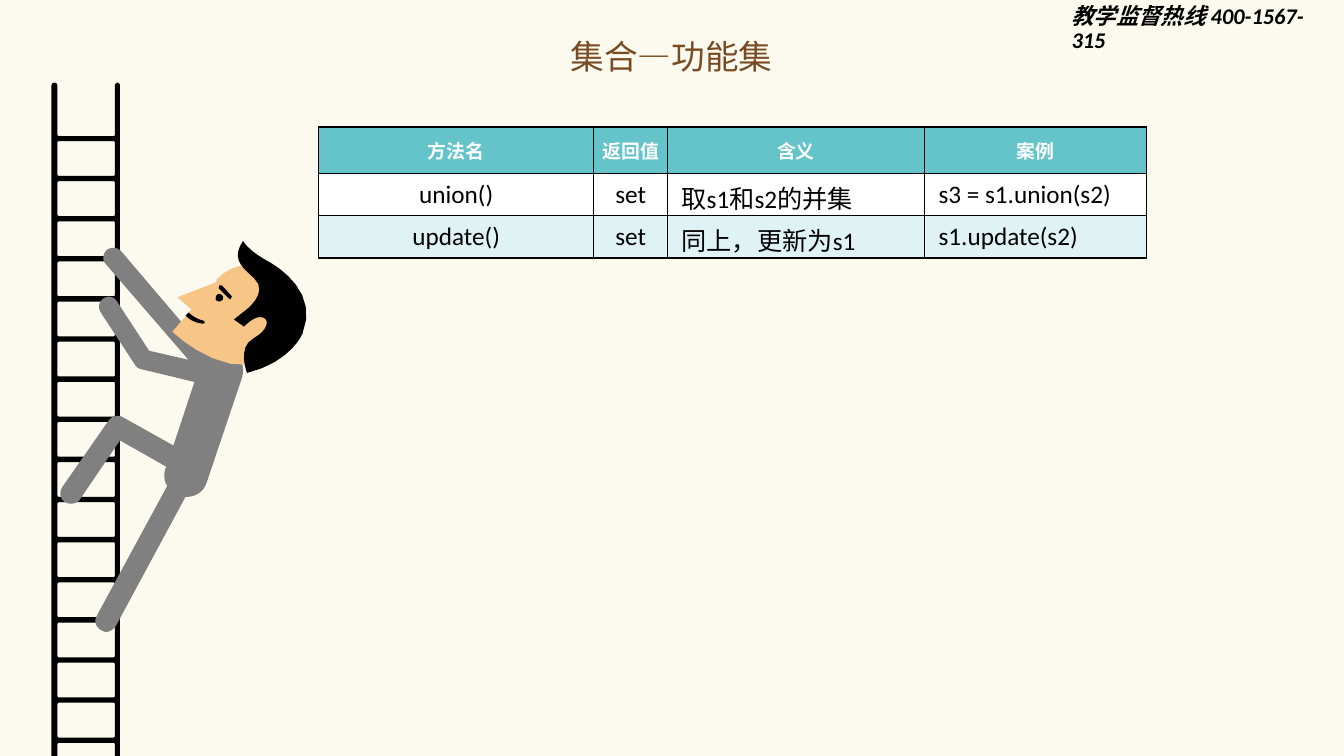
from dataclasses import dataclass

from lxml.etree import SubElement
from pptx import Presentation
from pptx.dml.color import RGBColor
from pptx.enum.text import MSO_ANCHOR, PP_ALIGN
from pptx.oxml.ns import qn
from pptx.util import Inches, Pt

CELL = Inches(0.01)
COLS, ROWS = 1333, 750
FINE = 10


@dataclass(frozen=True)
class Theme:
    """Colours, fonts and type sizes of the slide."""
    back: str = "FCF9EF"
    ink: str = "000000"
    black: str = "010101"
    suit: str = "808080"
    skin: str = "F7C586"
    brown: str = "784B23"
    teal: str = "65C4CA"
    pale: str = "E0F3F4"
    white: str = "FFFFFF"
    latin: str = "Calibri"
    han: str = "Noto Sans CJK SC"
    title: float = 24
    body: float = 18
    note: float = 16
    head: float = 13.5


THEME = Theme()

HEAD = ("方法名", "返回值", "含义", "案例")
BODY = (
    ("union()", "set", "取s1和s2的并集", "s3 = s1.union(s2)"),
    ("update()", "set", "同上，更新为s1", "s1.update(s2)"),
)
WIDTHS = (273, 73, 255, 220)
HEIGHTS = (46, 42, 42)

SUIT = [
    (226, 347), (219, 345, 212, 347, 206, 350), (120, 249),
    (116, 245, 110, 245, 106, 248), (102, 252, 101, 258, 105, 262),
    (187, 357), (148, 348), (116, 299),
    (113, 294, 107, 293, 103, 296), (98, 299, 97, 305, 100, 310),
    (134, 362), (135, 364, 137, 365, 139, 366), (193, 379), (172, 442),
    (122, 414), (117, 411, 111, 413, 108, 417), (62, 483),
    (59, 488, 59, 494, 64, 498), (69, 501, 76, 500, 79, 496),
    (119, 437), (165, 463), (164, 465), (162, 471, 163, 478, 166, 482),
    (96, 611), (93, 616, 95, 622, 100, 625), (102, 626, 104, 627, 105, 627),
    (109, 627, 113, 624, 115, 621), (184, 493), (185, 493),
    (194, 493, 202, 488, 205, 479), (240, 375),
    (244, 363, 238, 351, 226, 347),
]
FACE = [
    (212, 281), (213, 281), (214, 280, 215, 279, 215, 277),
    (232, 259, 261, 257, 279, 274), (302, 295, 303, 322, 286, 341),
    (238, 395, 171, 329, 171, 329), (190, 307), (176, 295),
]
HAIR = [
    (242, 309), (242, 309, 268, 291, 252, 276),
    (236, 262, 231, 255, 241, 239), (241, 239, 245, 247, 262, 257),
    (279, 266, 316, 291, 300, 331), (300, 331, 289, 359, 245, 370),
    (245, 370, 235, 345, 251, 336), (265, 328, 268, 318, 261, 315),
    (253, 312, 242, 324, 242, 324), (232, 317),
]
EYE = [
    (216, 292), (214, 293, 214, 295, 214, 297),
    (215, 299, 218, 300, 220, 298), (221, 298, 222, 295, 221, 294),
    (220, 292, 218, 291, 216, 292),
]
BROW = [
    (218, 283), (217, 284, 217, 285, 217, 286), (227, 296),
    (228, 297, 229, 297, 229, 296), (230, 295, 230, 294, 230, 294),
    (220, 283), (219, 283, 218, 283, 218, 283),
]
MOUTH = [
    (203, 320), (203, 319, 202, 318, 201, 318),
    (194, 316, 189, 312, 187, 310), (184, 313), (185, 314),
    (188, 317, 193, 320, 200, 321), (202, 321, 203, 321, 203, 320),
]


def tint(code):
    """Turn a hex code into a colour."""
    return RGBColor.from_string(code)


def trace(path, steps=8):
    """Flatten corners and cubic curves to fine grid points."""
    spots = [path[0]]
    for part in path[1:]:
        if len(part) == 2:
            spots.append(part)
            continue
        knots = [spots[-1], part[:2], part[2:4], part[4:]]
        for step in range(1, steps + 1):
            t = step / steps
            rate = ((1 - t) ** 3, 3 * t * (1 - t) ** 2, 3 * t * t * (1 - t), t ** 3)
            spots.append(tuple(sum(r * k[a] for r, k in zip(rate, knots)) for a in (0, 1)))
    return [(x * FINE, y * FINE) for x, y in spots]


def draw(slide, fill, *paths):
    """Draw closed paths as one filled outline; inner paths are holes."""
    loops = [trace(path) for path in paths]
    pen = slide.shapes.build_freeform(*loops[0][0], scale=CELL / FINE)
    for loop in loops:
        if loop is not loops[0]:
            pen.move_to(*loop[0])
        pen.add_line_segments(loop[1:], close=True)
    form = pen.convert_to_shape()
    form.shadow.inherit = False
    form.fill.solid()
    form.fill.fore_color.rgb = tint(fill)
    form.line.fill.background()


def hole(left, top, right, low, cut=3):
    """Give the rounded gap between two rungs, ending at the slide edge."""
    if low > ROWS:
        foot = [(right, ROWS), (left, ROWS)]
    else:
        foot = [(right, low - cut), (right, low, right, low, right - cut, low),
                (left + cut, low), (left, low, left, low, left, low - cut)]
    return [(left, top + cut), (left, top, left, top, left + cut, top),
            (right - cut, top), (right, top, right, top, right, top + cut), *foot]


def ladder(slide):
    """Draw the ladder with evenly spaced rungs."""
    left, right, rail, top, first = 51, 119, 6, 82, 140
    near, far, pitch = left + rail, right - rail + 1, 39.8
    frame = [
        (left, ROWS), (left, top + 3), (left, top - 1, near, top - 1, near, top + 3),
        (near, 132), (near, 135, near, 135, near + 3, 135), (far - 3, 135),
        (far, 135, far, 135, far, 132), (far, top + 3),
        (far, top - 1, right, top - 1, right, top + 3), (right, ROWS),
    ]
    tops = [first + pitch * i for i in range(16)]
    draw(slide, THEME.black, frame, *(hole(near, y, far, y + 34.5) for y in tops))


def style(para, text, size, face, code, bold=False, slant=False, align=None):
    """Write a paragraph and set its font."""
    para.text = text
    para.alignment = align
    font = para.font
    font.size, font.bold, font.italic, font.name = Pt(size), bold, slant, face
    font.color.rgb = tint(code)
    SubElement(font._rPr, qn("a:ea")).set("typeface", THEME.han)


def label(slide, box, text, *look, space=None, **kind):
    """Add a wrapping text box placed in grid cells."""
    frame = slide.shapes.add_textbox(*(n * CELL for n in box)).text_frame
    frame.word_wrap = True
    para = frame.paragraphs[0]
    style(para, text, *look, **kind)
    para.line_spacing = space


def border(cell):
    """Rule all four sides of a cell."""
    props = cell._tc.get_or_add_tcPr()
    for spot, side in enumerate(("lnL", "lnR", "lnT", "lnB")):
        line = SubElement(props, qn("a:" + side), w=str(Pt(1)))
        SubElement(SubElement(line, qn("a:solidFill")), qn("a:srgbClr"), val=THEME.ink)
        props.insert(spot, line)


def fill_cell(cell, text, fill, pad, *look, **kind):
    """Fill, pad, rule and write one cell."""
    cell.fill.solid()
    cell.fill.fore_color.rgb = tint(fill)
    cell.vertical_anchor = MSO_ANCHOR.MIDDLE
    cell.margin_left = cell.margin_right = pad[0] * CELL
    cell.margin_top = cell.margin_bottom = pad[1] * CELL
    style(cell.text_frame.paragraphs[0], text, *look, **kind)
    border(cell)


def methods(slide):
    """Add the table of set methods."""
    size = (sum(WIDTHS), sum(HEIGHTS))
    place = (n * CELL for n in (316, 126, *size))
    grid = slide.shapes.add_table(len(HEIGHTS), len(WIDTHS), *place).table
    for col, wide in zip(grid.columns, WIDTHS):
        col.width = wide * CELL
    for row, high in zip(grid.rows, HEIGHTS):
        row.height = high * CELL
    for c, text in enumerate(HEAD):
        fill_cell(grid.cell(0, c), text, THEME.teal, (3, 2), THEME.head, THEME.han,
                  THEME.white, bold=True, align=PP_ALIGN.CENTER)
    for r, (line, fill) in enumerate(zip(BODY, (THEME.white, THEME.pale)), 1):
        for c, text in enumerate(line):
            fill_cell(grid.cell(r, c), text, fill, (14, 6), THEME.body, THEME.latin,
                      THEME.ink, align=PP_ALIGN.CENTER if c < 2 else PP_ALIGN.LEFT)


def main():
    """Build and save the slide."""
    deck = Presentation()
    deck.slide_width, deck.slide_height = COLS * CELL, ROWS * CELL
    slide = deck.slides.add_slide(deck.slide_layouts[6])
    slide.background.fill.solid()
    slide.background.fill.fore_color.rgb = tint(THEME.back)
    label(slide, (1053, 0, 280, 39), "教学监督热线 400-1567-315", THEME.note,
          THEME.latin, THEME.ink, bold=True, slant=True, space=0.9)
    ladder(slide)
    draw(slide, THEME.suit, SUIT)
    draw(slide, THEME.skin, FACE)
    for part in (HAIR, EYE, BROW, MOUTH):
        draw(slide, THEME.black, part)
    label(slide, (446, 31, 440, 50), "集合—功能集", THEME.title, THEME.han,
          THEME.brown, align=PP_ALIGN.CENTER)
    methods(slide)
    deck.save("out.pptx")


main()
